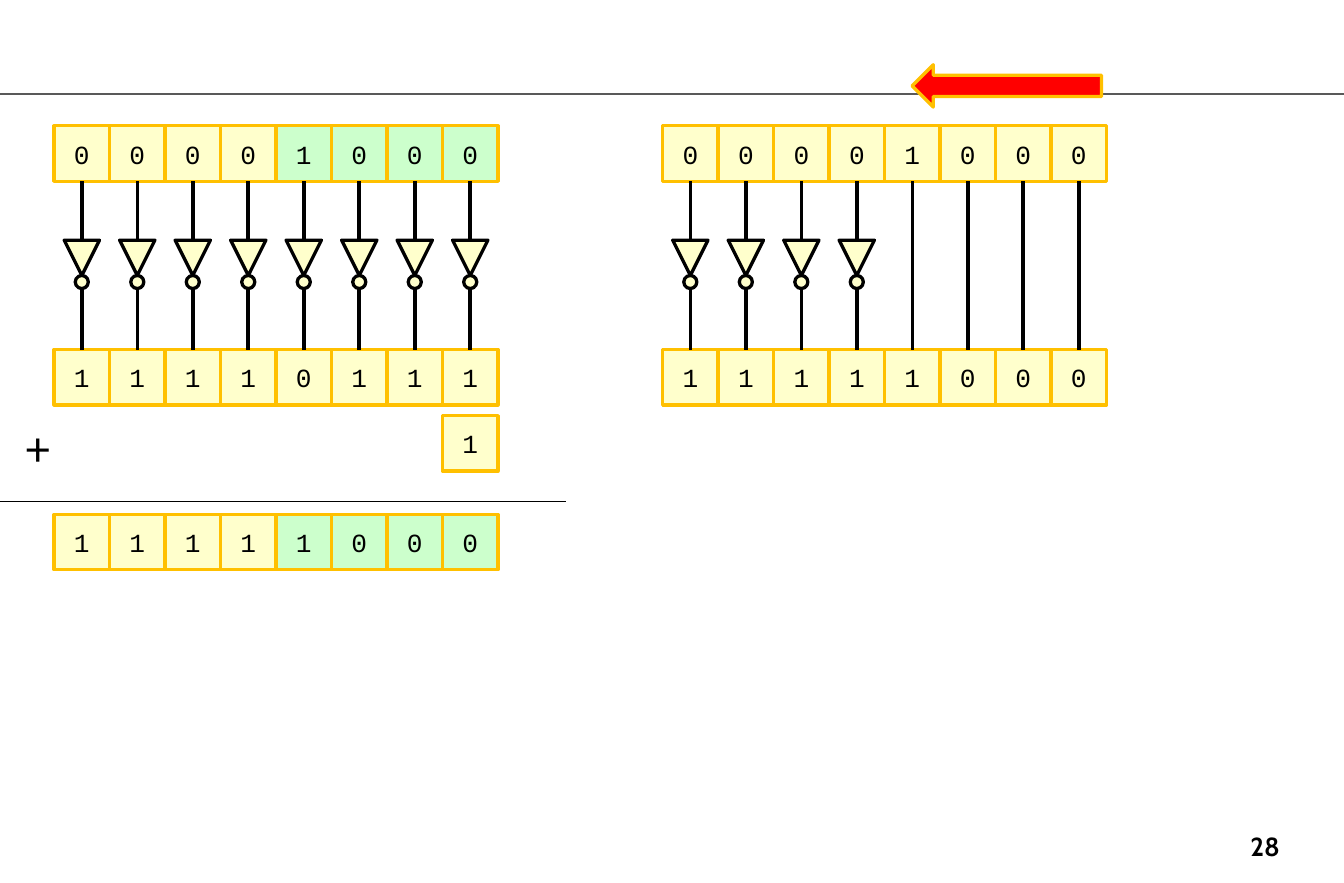
import pptx
import pptx.util
import pptx.dml.color
import pptx.enum.shapes
import pptx.enum.text
import pptx.oxml.ns
import lxml.etree

Pt = pptx.util.Pt
RGBColor = pptx.dml.color.RGBColor
MSO_SHAPE = pptx.enum.shapes.MSO_SHAPE
PP_ALIGN = pptx.enum.text.PP_ALIGN
MSO_ANCHOR = pptx.enum.text.MSO_ANCHOR

BLACK = RGBColor(0x00, 0x00, 0x00)
GRAY = RGBColor(0x59, 0x59, 0x59)
YELLOW = RGBColor(0xFF, 0xFF, 0xCC)
GREEN = RGBColor(0xCC, 0xFF, 0xCC)
GOLD = RGBColor(0xFF, 0xC0, 0x00)
RED = RGBColor(0xFF, 0x00, 0x00)

CELL = 33.95
LEFT_X, RIGHT_X = 33.1, 405.4
INPUT_Y, OUTPUT_Y, CARRY_Y, SUM_Y = 77, 213.8, 254.2, 314.6
GATE_Y, GATE_SIZE, BUBBLE_SIZE = 146.9, 21.6, 8

prs = pptx.Presentation()
prs.slide_width, prs.slide_height = Pt(822.24), Pt(540)
s = prs.slides.add_slide(prs.slide_layouts[6])


def add_shape(kind, x, y, w, h, fill, line, text=""):
    sp = s.shapes.add_shape(kind, Pt(x), Pt(y), Pt(w), Pt(h))
    sp.shadow.inherit = False
    sp.fill.solid()
    sp.fill.fore_color.rgb = fill
    sp.line.color.rgb = line
    sp.line.width = Pt(2)
    if text:
        tf = sp.text_frame
        tf.text = text
        tf.vertical_anchor = MSO_ANCHOR.MIDDLE
        p = tf.paragraphs[0]
        p.alignment = PP_ALIGN.CENTER
        f = p.runs[0].font
        f.name, f.size, f.color.rgb = "Courier New", Pt(16), BLACK
    return sp


def add_line(x1, y1, x2, y2, color=BLACK, width=2.25):
    c = s.shapes.add_connector(pptx.enum.shapes.MSO_CONNECTOR.STRAIGHT,
                               Pt(x1), Pt(y1), Pt(x2), Pt(y2))
    c.line.color.rgb = color
    c.line.width = Pt(width)
    lxml.etree.SubElement(c._element.spPr, pptx.oxml.ns.qn("a:effectLst"))
    return c


# Header rule
add_line(0, 57.6, 822.24, 57.6, GRAY, 1.5)

# Bit rows: left edge, top, bits, columns shaded green
bit_rows = {
    "left input": (LEFT_X, INPUT_Y, "00001000", range(4, 8)),
    "left output": (LEFT_X, OUTPUT_Y, "11110111", ()),
    "sum": (LEFT_X, SUM_Y, "11111000", range(4, 8)),
    "right input": (RIGHT_X, INPUT_Y, "00001000", ()),
    "right output": (RIGHT_X, OUTPUT_Y, "11111000", ()),
}
cells = {}
for name, (x, y, bits, shaded) in bit_rows.items():
    cells[name] = [
        add_shape(MSO_SHAPE.RECTANGLE, x + i * CELL, y, CELL, CELL,
                  GREEN if i in shaded else YELLOW, GOLD, bit)
        for i, bit in enumerate(bits)]

# Wires between inputs and outputs, the first ones through an inverter
for side, x, inverters in (("left", LEFT_X, 8), ("right", RIGHT_X, 4)):
    pairs = zip(cells[side + " input"], cells[side + " output"])
    for i, (source, target) in enumerate(pairs):
        mid = x + (i + 0.5) * CELL
        if i < inverters:
            gate = add_shape(MSO_SHAPE.FLOWCHART_MERGE, mid - GATE_SIZE / 2, GATE_Y,
                             GATE_SIZE, GATE_SIZE, YELLOW, BLACK)
            bubble_y = GATE_Y + GATE_SIZE
            add_shape(MSO_SHAPE.OVAL, mid - BUBBLE_SIZE / 2, bubble_y,
                      BUBBLE_SIZE, BUBBLE_SIZE, YELLOW, BLACK)
            wire = add_line(mid, INPUT_Y + CELL, mid, GATE_Y)
            wire.begin_connect(source, 2)
            wire.end_connect(gate, 0)
            wire = add_line(mid, bubble_y + BUBBLE_SIZE, mid, OUTPUT_Y)
        else:
            wire = add_line(mid, INPUT_Y + CELL, mid, OUTPUT_Y)
            wire.begin_connect(source, 2)
        wire.end_connect(target, 0)

# Addition of one
add_shape(MSO_SHAPE.RECTANGLE, LEFT_X + 7 * CELL, CARRY_Y, CELL, CELL, YELLOW, GOLD, "1")
add_line(0, 306.7, 346.3, 306.7, BLACK, 0.75)

# Scan direction arrow
add_shape(MSO_SHAPE.LEFT_ARROW, 558, 39.6, 115.9, 25.9, RED, GOLD)

# Plus sign and page number
for text, x, y, w, h, font, size, bold, align in (
        ("+", 8.6, 254.2, 29.5, 36, "Noto Sans CJK KR", 28, False, PP_ALIGN.LEFT),
        ("28", 734, 504, 80, 27, "Cabin", 16, True, PP_ALIGN.CENTER)):
    tf = s.shapes.add_textbox(Pt(x), Pt(y), Pt(w), Pt(h)).text_frame
    tf.word_wrap = bold
    tf.text = text
    p = tf.paragraphs[0]
    p.alignment = align
    f = p.runs[0].font
    f.name, f.size, f.bold, f.color.rgb = font, Pt(size), bold, BLACK

prs.save("out.pptx")
